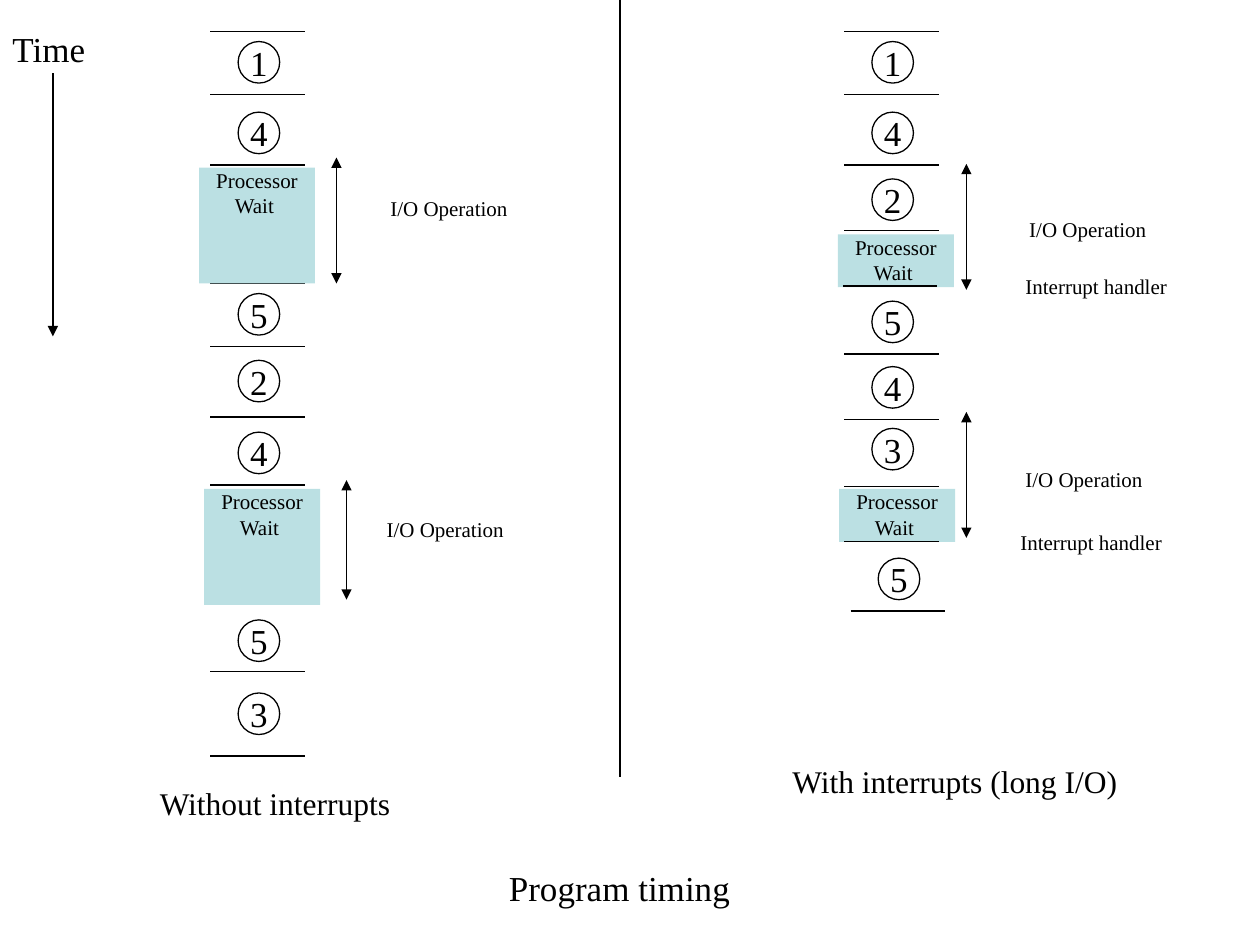
"""Build the program timing slide, without and with interrupts."""
from lxml import etree
from pptx import Presentation
from pptx.dml.color import RGBColor
from pptx.enum.shapes import MSO_CONNECTOR, MSO_SHAPE
from pptx.enum.text import MSO_ANCHOR, MSO_AUTO_SIZE, PP_ALIGN
from pptx.oxml.ns import qn
from pptx.util import Inches, Pt

STRAIGHT = MSO_CONNECTOR.STRAIGHT
OVAL, RECT = MSO_SHAPE.OVAL, MSO_SHAPE.RECTANGLE
TOP, MIDDLE = MSO_ANCHOR.TOP, MSO_ANCHOR.MIDDLE
LEFT, CENTER = PP_ALIGN.LEFT, PP_ALIGN.CENTER
GROW = MSO_AUTO_SIZE.SHAPE_TO_FIT_TEXT
BLACK = RGBColor(0x00, 0x00, 0x00)
AQUA = RGBColor(0xBB, 0xE0, 0xE3)
FONT = "Times New Roman"
DOT, TICK, WAIT = 0.33, 0.75, 0.92


def write(frame, text, size=12, align=LEFT, anchor=TOP, wrap=False):
    frame.word_wrap = wrap
    frame.vertical_anchor = anchor
    para = frame.paragraphs[0]
    para.alignment = align
    run = para.add_run()
    run.text = text
    run.font.name = FONT
    run.font.size = Pt(size)
    run.font.color.rgb = BLACK


def add_label(slide, text, left, top, width, height=0.3, **style):
    box = slide.shapes.add_textbox(
        Inches(left), Inches(top), Inches(width), Inches(height))
    write(box.text_frame, text, **style)
    box.text_frame.auto_size = GROW


def add_line(slide, x1, y1, x2, y2, ends=()):
    line = slide.shapes.add_connector(
        STRAIGHT, Inches(x1), Inches(y1), Inches(x2), Inches(y2))
    line.line.color.rgb = BLACK
    line.line.width = Pt(0.75)
    stroke = line.line._get_or_add_ln()
    for end in ends:
        etree.SubElement(stroke, qn(f"a:{end}"), type="triangle")
    etree.SubElement(line._element.spPr, qn("a:effectLst"))


def add_tick(slide, left, top):
    add_line(slide, left, top, left + TICK, top)


def add_span(slide, left, top, bottom):
    add_line(slide, left, top, left, bottom, ends=("headEnd", "tailEnd"))


def add_step(slide, text, left, top):
    dot = slide.shapes.add_shape(
        OVAL, Inches(left), Inches(top), Inches(DOT), Inches(DOT))
    dot.shadow.inherit = False
    dot.fill.background()
    dot.line.color.rgb = BLACK
    dot.line.width = Pt(0.75)
    write(dot.text_frame, text, size=20, align=CENTER, anchor=MIDDLE)


def add_wait(slide, left, top, height):
    box = slide.shapes.add_shape(
        RECT, Inches(left), Inches(top), Inches(WAIT), Inches(height))
    box.shadow.inherit = False
    box.fill.solid()
    box.fill.fore_color.rgb = AQUA
    box.line.fill.background()
    frame = box.text_frame
    frame.margin_left = frame.margin_right = 0
    frame.margin_top = frame.margin_bottom = 0
    write(frame, "Processor Wait ", align=CENTER, wrap=True)


def add_column(slide, ticks, steps, spans, waits):
    for tick in ticks:
        add_tick(slide, *tick)
    for step in steps:
        add_step(slide, *step)
    for span in spans:
        add_span(slide, *span)
    for wait in waits:
        add_wait(slide, *wait)


def add_plain(slide):
    tops = (0.25, 0.75, 1.31, 2.25, 2.75, 3.31, 3.85, 4.79, 5.33, 6)
    steps = zip("1452453", (0.33, 0.89, 2.33, 2.86, 3.43, 4.92, 5.5))
    add_column(
        slide,
        ticks=[(1.67, top) for top in tops],
        steps=[(text, 1.89, top) for text, top in steps],
        spans=[(2.67, 1.25, 2.25), (2.75, 3.81, 4.76)],
        waits=[(1.58, 1.33, 0.92), (1.62, 3.88, 0.92)])
    add_label(slide, "I/O Operation", 3, 1.5, 1.15)
    add_label(slide, "I/O Operation", 2.97, 4.05, 1.15)
    add_label(slide, "Without interrupts", 1.17, 6.17, 2.06, 0.4, size=18)


def add_broken(slide):
    tops = (0.25, 0.75, 1.31, 1.83, 2.81, 3.33, 3.86)
    steps = zip("142543", (0.33, 0.89, 1.42, 2.39, 2.91, 3.4))
    add_column(
        slide,
        ticks=[(6.7, top) for top in tops] + [(6.75, 4.85)],
        steps=[(text, 6.92, top) for text, top in steps] + [("5", 6.97, 4.43)],
        spans=[(7.67, 1.3, 2.3), (7.67, 3.27, 4.27)],
        waits=[(6.65, 1.86, 0.42), (6.66, 3.88, 0.42)])
    add_tick(slide, 6.69, 2.27)
    add_tick(slide, 6.7, 4.3)
    add_label(slide, "I/O Operation", 8.07, 1.67, 1.15)
    add_label(slide, "Interrupt handler", 8.04, 2.12, 1.35)
    add_label(slide, "I/O Operation", 8.04, 3.65, 1.15)
    add_label(slide, "Interrupt handler", 8, 4.15, 1.35)
    add_label(slide, "With interrupts (long I/O)", 6.19, 6, 3.19, 0.4,
              size=18, wrap=True)


def main():
    deck = Presentation()
    deck.slide_width, deck.slide_height = Inches(10), Inches(7.5)
    slide = deck.slides.add_slide(deck.slide_layouts[6])
    add_line(slide, 4.92, 0, 4.92, 6.17)
    add_label(slide, "Time", 0, 0.17, 0.79, 0.44, size=20)
    add_line(slide, 0.42, 0.58, 0.42, 2.67, ends=("tailEnd",))
    add_plain(slide)
    add_broken(slide)
    add_label(slide, "Program timing", 3.94, 6.83, 1.99, 0.44, size=20)
    deck.save("out.pptx")


if __name__ == "__main__":
    main()
